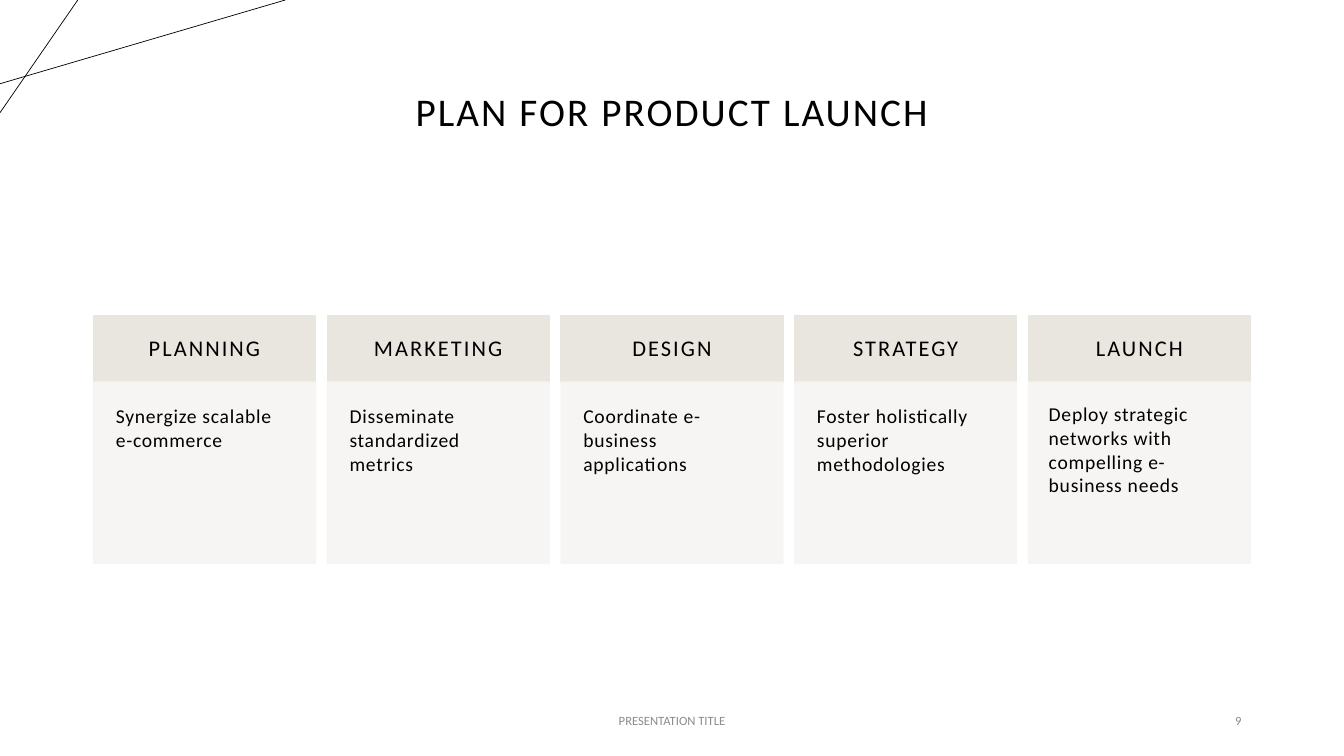
from dataclasses import dataclass
from typing import Optional

from lxml.etree import SubElement
from pptx import Presentation
from pptx.dml.color import RGBColor as RGB
from pptx.enum.shapes import MSO_CONNECTOR as Connector, MSO_SHAPE as Shape
from pptx.enum.text import MSO_ANCHOR as Anchor, PP_ALIGN as Align
from pptx.oxml.ns import qn
from pptx.util import Cm, Pt


@dataclass(frozen=True)
class Theme:
    font: str = "Calibri"
    ink: RGB = RGB(0x00, 0x00, 0x00)
    muted: RGB = RGB(0x8C, 0x8C, 0x8C)
    header: RGB = RGB(0xE9, 0xE6, 0xDF)
    body: RGB = RGB(0xF7, 0xF5, 0xF3)
    body_opacity: int = 90
    title_size: float = 28
    header_size: float = 16
    body_size: float = 14
    footer_size: float = 9
    border: float = 1
    hairline: float = 0.5


@dataclass(frozen=True)
class Box:
    left: float
    top: float
    width: float
    height: float


@dataclass(frozen=True)
class TextStyle:
    size: float
    color: RGB
    align: Align = Align.CENTER
    anchor: Anchor = Anchor.MIDDLE
    tracking: float = 0
    line_spacing: float = 1.0
    inset: Optional[float] = None


@dataclass(frozen=True)
class Stage:
    name: str
    task: str
    inset: float = 0.56


@dataclass(frozen=True)
class Stroke:
    x1: float
    y1: float
    x2: float
    y2: float


THEME = Theme()
TITLE = TextStyle(THEME.title_size, THEME.ink, tracking=1.5, line_spacing=0.9)
HEADER = TextStyle(THEME.header_size, THEME.ink, tracking=1.5, line_spacing=0.9, inset=0.43)
FOOTER = TextStyle(THEME.footer_size, THEME.muted)
PAGE = TextStyle(THEME.footer_size, THEME.muted, Align.RIGHT)

STROKES = [Stroke(0, 2.11, 7.19, 0), Stroke(1.96, 0, 0, 2.84)]
STAGES = [
    Stage("PLANNING", "Synergize scalable e-commerce"),
    Stage("MARKETING", "Disseminate standardized metrics"),
    Stage("DESIGN", "Coordinate e-business applications"),
    Stage("STRATEGY", "Foster holistically superior methodologies"),
    Stage("LAUNCH", "Deploy strategic networks with compelling e-business needs", 0.51),
]
STAGE_LEFT, STAGE_TOP, STAGE_WIDTH, STAGE_PITCH = 2.36, 7.95, 5.59, 5.89
HEADER_HEIGHT, BODY_HEIGHT = 1.68, 4.57


def write(s, text: str, style: TextStyle) -> None:
    tf = s.text_frame
    tf.text = text
    tf.word_wrap = True
    tf.vertical_anchor = style.anchor
    if style.inset is not None:
        tf.margin_left = tf.margin_right = Cm(style.inset)
        tf.margin_top = tf.margin_bottom = Cm(style.inset)
    p = tf.paragraphs[0]
    p.alignment = style.align
    p.line_spacing = style.line_spacing
    r = p.runs[0]
    r.font.name = THEME.font
    r.font.size = Pt(style.size)
    r.font.color.rgb = style.color
    if style.tracking:
        r._r.get_or_add_rPr().set("spc", str(round(style.tracking * 100)))


def add_text(slide, box: Box, text: str, style: TextStyle) -> None:
    s = slide.shapes.add_textbox(Cm(box.left), Cm(box.top), Cm(box.width), Cm(box.height))
    write(s, text, style)


def add_panel(slide, box: Box, color: RGB, text: str, style: TextStyle, opacity: int = 100) -> None:
    s = slide.shapes.add_shape(
        Shape.RECTANGLE, Cm(box.left), Cm(box.top), Cm(box.width), Cm(box.height)
    )
    s.shadow.inherit = False
    s.fill.solid()
    s.fill.fore_color.rgb = color
    s.line.color.rgb = color
    s.line.width = Pt(THEME.border)
    if opacity < 100:
        for clr in s._element.spPr.iter(qn("a:srgbClr")):
            SubElement(clr, qn("a:alpha"), val=str(opacity * 1000))
    write(s, text, style)


def add_stage(slide, left: float, stage: Stage) -> None:
    header = Box(left, STAGE_TOP, STAGE_WIDTH, HEADER_HEIGHT)
    body = Box(left, STAGE_TOP + HEADER_HEIGHT, STAGE_WIDTH, BODY_HEIGHT)
    task = TextStyle(
        THEME.body_size, THEME.ink, Align.LEFT, Anchor.TOP, tracking=0.5, inset=stage.inset
    )
    add_panel(slide, header, THEME.header, stage.name, HEADER)
    add_panel(slide, body, THEME.body, stage.task, task, THEME.body_opacity)


def add_stroke(slide, stroke: Stroke) -> None:
    s = slide.shapes.add_connector(
        Connector.STRAIGHT, Cm(stroke.x1), Cm(stroke.y1), Cm(stroke.x2), Cm(stroke.y2)
    )
    s.line.color.rgb = THEME.ink
    s.line.width = Pt(THEME.hairline)
    SubElement(s._element.spPr, qn("a:effectLst"))


def main() -> None:
    prs = Presentation()
    prs.slide_width, prs.slide_height = Cm(33.87), Cm(19.05)
    slide = prs.slides.add_slide(prs.slide_layouts[6])
    for stroke in STROKES:
        add_stroke(slide, stroke)
    add_text(slide, Box(2.33, 1.02, 29.21, 3.68), "PLAN FOR PRODUCT LAUNCH", TITLE)
    for i, stage in enumerate(STAGES):
        add_stage(slide, STAGE_LEFT + i * STAGE_PITCH, stage)
    add_text(slide, Box(11.22, 17.65, 11.43, 1.02), "PRESENTATION TITLE", FOOTER)
    add_text(slide, Box(23.92, 17.65, 7.62, 1.02), "9", PAGE)
    prs.save("out.pptx")


if __name__ == "__main__":
    main()
